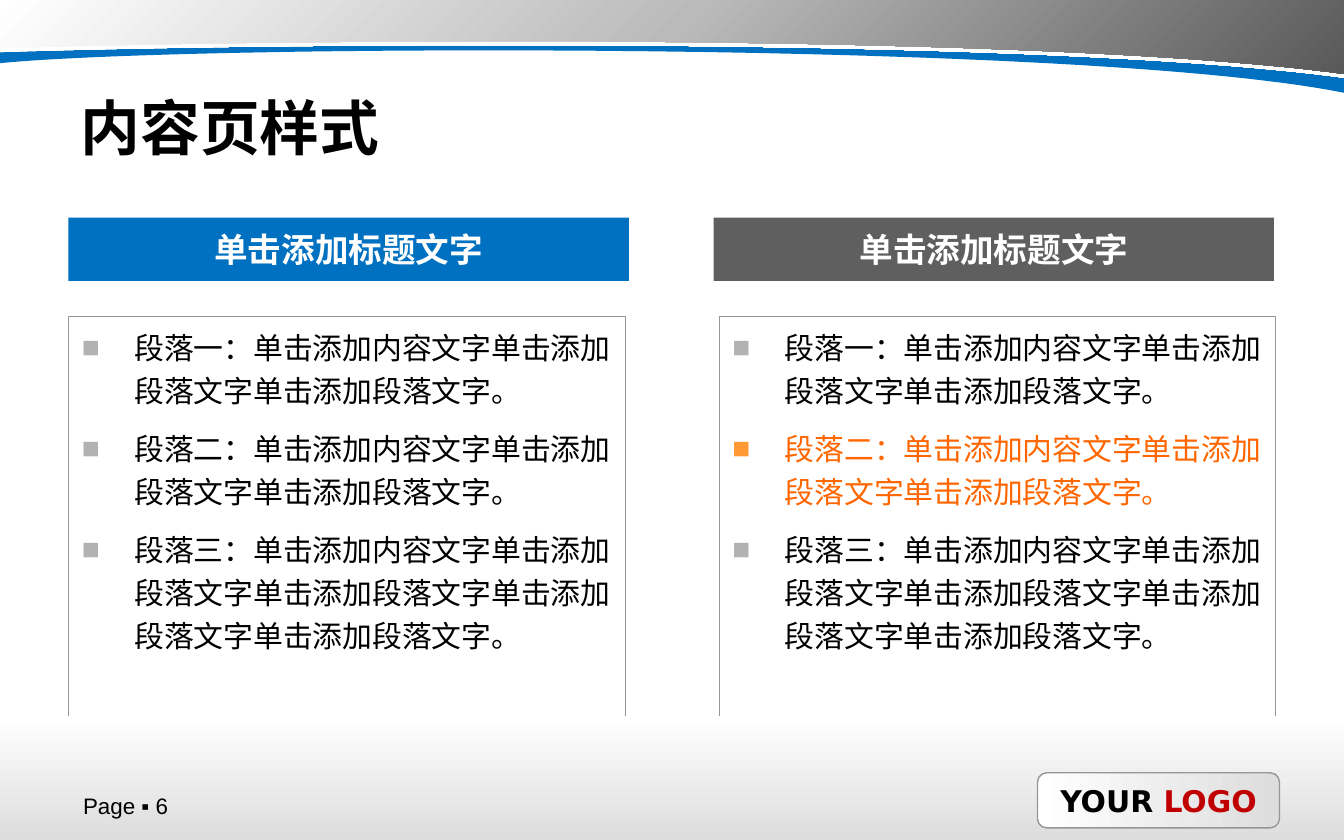
from pptx import Presentation
from pptx.dml.color import RGBColor
from pptx.enum.shapes import MSO_SHAPE as Shape
from pptx.enum.text import MSO_ANCHOR as Anchor, MSO_AUTO_SIZE as AutoSize, PP_ALIGN as Align
from pptx.oxml.ns import qn
from pptx.util import Inches, Pt
from lxml.etree import SubElement

BLACK = RGBColor(0x00, 0x00, 0x00)
WHITE = RGBColor(0xFF, 0xFF, 0xFF)
BLUE = RGBColor(0x00, 0x70, 0xC0)
SLATE = RGBColor(0x5F, 0x5F, 0x5F)
DARK = RGBColor(0x59, 0x59, 0x59)
MIDDLE = RGBColor(0xBA, 0xBA, 0xBA)
PALE = RGBColor(0xDD, 0xDD, 0xDD)
BORDER = RGBColor(0x96, 0x96, 0x96)
BULLET = RGBColor(0xB2, 0xB2, 0xB2)
ORANGE = RGBColor(0xFF, 0x66, 0x00)
ORANGE_BULLET = RGBColor(0xFF, 0x99, 0x33)
RED = RGBColor(0xC0, 0x00, 0x00)
SANS = "DejaVu Sans"

HEADING = "单击添加标题文字"
ITEMS = [
    "段落一：单击添加内容文字单击添加段落文字单击添加段落文字。",
    "段落二：单击添加内容文字单击添加段落文字单击添加段落文字。",
    "段落三：单击添加内容文字单击添加段落文字单击添加段落文字单击添加段落文字单击添加段落文字。",
]


def place(shape, left, top, width, height):
    shape.left, shape.top = Inches(left), Inches(top)
    shape.width, shape.height = Inches(width), Inches(height)


def style_font(font, size, color, bold=False, name=SANS):
    font.size, font.bold, font.name = Pt(size), bold, name
    font.color.rgb = color


def fill_gradient(shape, colors, angle):
    shape.fill.gradient()
    gradient = shape._element.spPr.find(qn("a:gradFill"))
    for child in list(gradient):
        gradient.remove(child)
    stops = SubElement(gradient, qn("a:gsLst"))
    for index, color in enumerate(colors):
        position = index * 100000 // (len(colors) - 1)
        stop = SubElement(stops, qn("a:gs"), pos=str(position))
        SubElement(stop, qn("a:srgbClr"), val=str(color))
    SubElement(gradient, qn("a:lin"), ang=str(angle * 60000), scaled="0")


def add_box(page, kind, left, top, width, height):
    box = page.shapes.add_shape(kind, Inches(left), Inches(top), Inches(width), Inches(height))
    box.shadow.inherit = False
    box.line.fill.background()
    return box


def add_swoosh(page, curve, steps=60):
    points = []
    for step in range(steps + 1):
        t = step / steps
        weights = ((1 - t) ** 3, 3 * t * (1 - t) ** 2, 3 * t * t * (1 - t), t ** 3)
        points.append([Inches(sum(w * point[axis] for w, point in zip(weights, curve)))
                       for axis in (0, 1)])
    builder = page.shapes.build_freeform(0, 0)
    builder.add_line_segments([(Inches(10), 0)] + points, close=True)
    swoosh = builder.convert_to_shape()
    swoosh.shadow.inherit = False
    swoosh.line.fill.background()
    return swoosh


def add_white_edge(shape):
    effects = shape._element.spPr.find(qn("a:effectLst"))
    edge = SubElement(effects, qn("a:outerShdw"), dist=str(Pt(2)), dir="5400000",
                      algn="t", rotWithShape="0")
    SubElement(edge, qn("a:srgbClr"), val=str(WHITE))


def add_logo_box(page):
    box = add_box(page, Shape.ROUNDED_RECTANGLE, 7.72, 5.75, 1.8, 0.41)
    fill_gradient(box, [WHITE, PALE], 0)
    box.line.color.rgb = BORDER
    box.line.width = Pt(0.75)
    box.text_frame.word_wrap = False
    box.text_frame.vertical_anchor = Anchor.MIDDLE
    para = box.text_frame.paragraphs[0]
    para.alignment = Align.CENTER
    for text, color in (("YOUR ", BLACK), ("LOGO", RED)):
        span = para.add_run()
        span.text = text
        style_font(span.font, 16, color, True)


def add_backdrop(page):
    footer = add_box(page, Shape.RECTANGLE, 0, 5.33, 10, 0.92)
    fill_gradient(footer, [WHITE, PALE], 90)
    add_logo_box(page)
    blue = add_swoosh(page, [(10, 0.69), (8.05, 0.3), (1.42, 0.33), (0, 0.47), ])
    blue.fill.solid()
    blue.fill.fore_color.rgb = BLUE
    gray = add_swoosh(page, [(10, 0.55), (7.68, 0.24), (2.11, 0.29), (0, 0.36)])
    fill_gradient(gray, [WHITE, MIDDLE, DARK], 45)
    add_white_edge(gray)


def set_title(page, text):
    title = page.shapes.title
    place(title, 0.5, 0.6, 9, 0.69)
    frame = title.text_frame
    frame.text = text
    frame.auto_size = AutoSize.NONE
    frame.vertical_anchor = Anchor.MIDDLE
    para = frame.paragraphs[0]
    para.alignment = Align.LEFT
    style_font(para.font, 32, BLACK, True)


def add_heading(page, left, color):
    bar = add_box(page, Shape.RECTANGLE, left, 1.62, 4.17, 0.47)
    bar.fill.solid()
    bar.fill.fore_color.rgb = color
    frame = bar.text_frame
    frame.text = HEADING
    frame.word_wrap = False
    frame.vertical_anchor = Anchor.MIDDLE
    para = frame.paragraphs[0]
    para.alignment = Align.CENTER
    style_font(para.font, 18, WHITE, True)


def add_bullet(para, color):
    properties = para._p.get_or_add_pPr()
    properties.set("marL", str(Inches(0.39)))
    properties.set("indent", str(-Inches(0.39)))
    bullet_color = SubElement(properties, qn("a:buClr"))
    SubElement(bullet_color, qn("a:srgbClr"), val=str(color))
    SubElement(properties, qn("a:buFont"), typeface="Arial")
    SubElement(properties, qn("a:buChar"), char="■")


def fill_list(body, left, highlight=None):
    place(body, left, 2.35, 4.14, 3.15)
    body.line.color.rgb = BORDER
    body.line.width = Pt(0.25)
    frame = body.text_frame
    frame.text = "\n".join(ITEMS)
    frame.auto_size = AutoSize.NONE
    frame.vertical_anchor = Anchor.TOP
    for index, para in enumerate(frame.paragraphs):
        marked = index == highlight
        add_bullet(para, ORANGE_BULLET if marked else BULLET)
        para.line_spacing = 1.2
        para.space_before = Pt(8 if index else 0)
        style_font(para.font, 16, ORANGE if marked else BLACK)


def add_page_number(page):
    box = page.shapes.add_textbox(Inches(0.52), Inches(5.88), Inches(1.57), Inches(0.22))
    frame = box.text_frame
    frame.word_wrap = True
    frame.vertical_anchor = Anchor.MIDDLE
    frame.text = "Page ▪ 6"
    style_font(frame.paragraphs[0].font, 12, BLACK, name="Arial")


def main():
    deck = Presentation()
    deck.slide_width, deck.slide_height = Inches(10), Inches(6.25)
    page = deck.slides.add_slide(deck.slide_layouts[3])
    add_backdrop(page)
    set_title(page, "内容页样式")
    add_heading(page, 0.51, BLUE)
    add_heading(page, 5.31, SLATE)
    fill_list(page.placeholders[1], 0.51)
    fill_list(page.placeholders[2], 5.35, highlight=1)
    add_page_number(page)
    deck.save("out.pptx")


if __name__ == "__main__":
    main()
